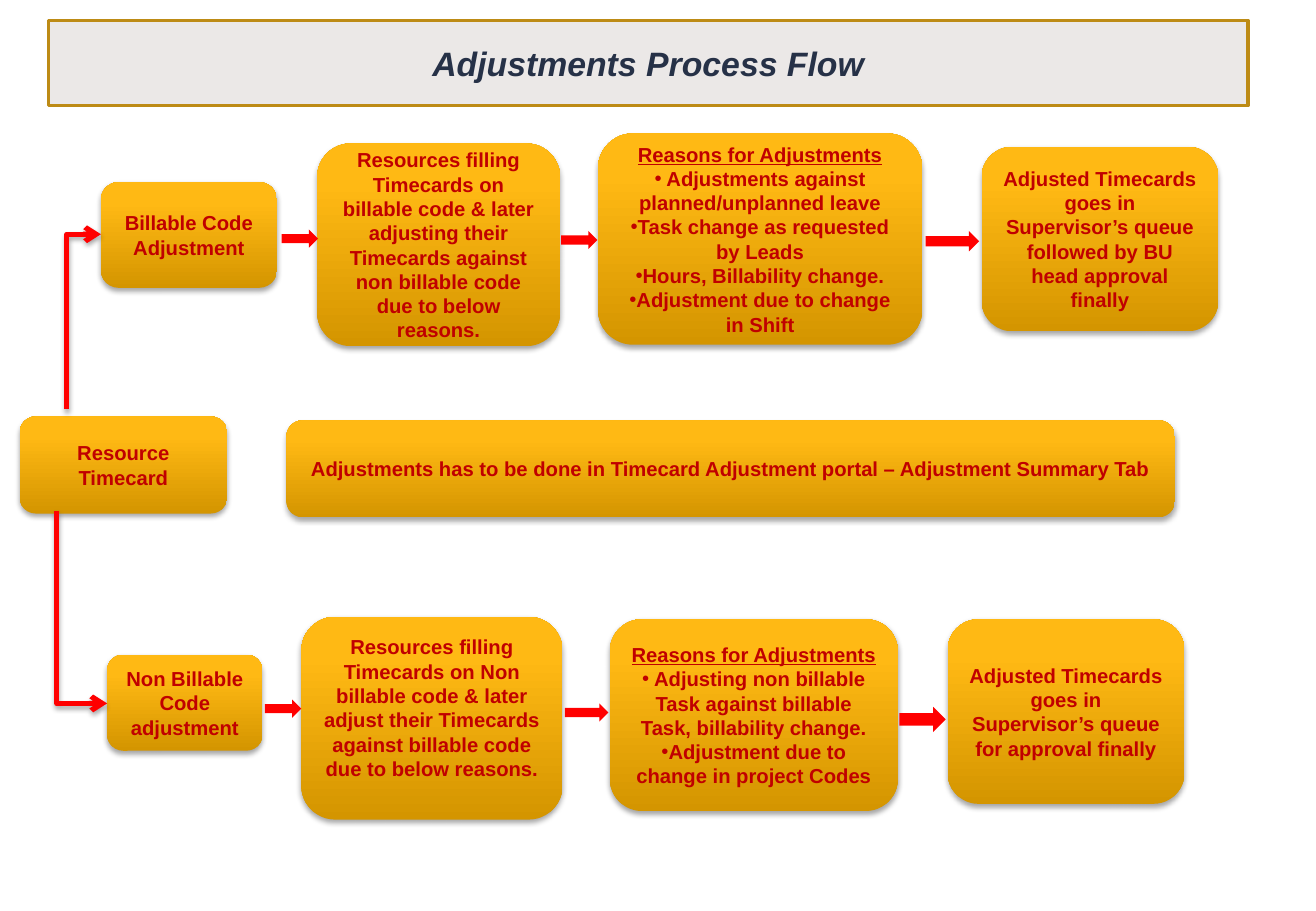
from copy import deepcopy

from lxml import etree
from pptx import Presentation
from pptx.dml.color import RGBColor
from pptx.enum import shapes, text
from pptx.oxml import ns
from pptx.util import Cm, Pt

GOLD_STOPS = (
    (0, RGBColor(0xD4, 0x95, 0x00)),
    (0.8, RGBColor(0xFF, 0xB9, 0x14)),
    (1, RGBColor(0xFF, 0xBA, 0x15)),
)
PALE_GREY = RGBColor(0xEB, 0xE8, 0xE7)
DARK_GOLD = RGBColor(0xBD, 0x8B, 0x15)
NAVY = RGBColor(0x26, 0x31, 0x47)
DARK_RED = RGBColor(0xC0, 0x00, 0x00)
RED = RGBColor(0xFF, 0x00, 0x00)
SHADOW_COLOUR = RGBColor(0x00, 0x00, 0x00)

# Left, top, width, height in centimetres, then the text
STEPS = (
    (0.41, 8.71, 4.34, 2.03, "Resource Timecard"),
    (2.11, 3.81, 3.68, 2.21, "Billable Code Adjustment"),
    (2.24, 13.69, 3.25, 2.01, "Non Billable Code adjustment"),
    (6.63, 3, 5.08, 4.24,
     "Resources filling Timecards on billable code & later adjusting their "
     "Timecards against non billable code due to below reasons."),
    (20.52, 3.07, 4.95, 3.86,
     "Adjusted Timecards goes in Supervisor’s queue followed by BU head "
     "approval finally"),
    (19.81, 12.95, 4.95, 3.86,
     "Adjusted Timecards goes in Supervisor’s queue for approval finally"),
    (5.99, 8.79, 18.57, 2.03,
     "Adjustments has to be done in Timecard Adjustment portal – "
     "Adjustment Summary Tab"),
)
NON_BILLABLE_FILLING = (
    6.3, 12.9, 5.46, 4.24,
    "Resources filling Timecards on Non billable code & later adjust their "
    "Timecards against billable code due to below reasons.")
REASONS = (
    (12.5, 2.79, 6.78, 4.42, (
        " Adjustments against planned/unplanned leave",
        "Task change as requested by Leads",
        "Hours, Billability change.",
        "Adjustment due to change in Shift")),
    (12.75, 12.95, 6.02, 4.01, (
        " Adjusting non billable Task against billable Task, "
        "billability change.",
        "Adjustment due to change in project Codes")),
)
BLOCK_ARROWS = (
    (5.89, 4.8, 0.76, 0.38),
    (11.73, 4.83, 0.76, 0.38),
    (19.35, 4.83, 1.12, 0.43),
    (5.54, 14.63, 0.76, 0.38),
    (11.81, 14.71, 0.91, 0.38),
    (18.8, 14.78, 0.97, 0.53),
)
# Start x, start y, end x, end y in centimetres
BRANCHES = (
    (1.4, 8.56, 2.11, 4.9),
    (1.19, 10.69, 2.24, 14.71),
)


def add_child(parent, tag, **attributes):
    return etree.SubElement(parent, ns.qn(tag), attributes)


def add_shadow(properties):
    """Append a soft downward shadow; the line must already be set."""
    effects = add_child(properties, "a:effectLst")
    shadow = add_child(effects, "a:outerShdw", blurRad="40000", dist="23000",
                       dir="5400000", rotWithShape="0")
    colour = add_child(shadow, "a:srgbClr", val=str(SHADOW_COLOUR))
    add_child(colour, "a:alpha", val="35000")


def style_paragraph(paragraph, size, colour):
    paragraph.alignment = text.PP_ALIGN.CENTER
    font = paragraph.font
    font.name = "Arial"
    font.size = Pt(size)
    font.bold = True
    font.color.rgb = colour
    return font


def add_title(slide):
    title = slide.shapes.add_shape(shapes.MSO_SHAPE.RECTANGLE,
                                   Cm(1.02), Cm(0.43), Cm(25.07), Cm(1.78))
    title.shadow.inherit = False
    title.fill.solid()
    title.fill.fore_color.rgb = PALE_GREY
    title.line.color.rgb = DARK_GOLD
    title.line.width = Pt(2)
    paragraph = title.text_frame.paragraphs[0]
    paragraph.text = "Adjustments Process Flow"
    style_paragraph(paragraph, 20, NAVY).italic = True


def add_box(slide, left, top, width, height, first_line):
    box = slide.shapes.add_shape(shapes.MSO_SHAPE.ROUNDED_RECTANGLE,
                                 Cm(left), Cm(top), Cm(width), Cm(height))
    box.line.fill.background()
    box.fill.gradient()
    box.fill.gradient_angle = 90
    stop_list = box._element.spPr.find(".//" + ns.qn("a:gsLst"))
    stop_list.append(deepcopy(stop_list[-1]))
    for stop, (position, colour) in zip(box.fill.gradient_stops, GOLD_STOPS):
        stop.position = position
        stop.color.rgb = colour
    add_shadow(box._element.spPr)
    paragraph = box.text_frame.paragraphs[0]
    paragraph.text = first_line
    style_paragraph(paragraph, 12, DARK_RED)
    return box


def add_reasons_box(slide, left, top, width, height, reasons):
    box = add_box(slide, left, top, width, height, "Reasons for Adjustments")
    box.text_frame.paragraphs[0].font.underline = True
    for reason in reasons:
        paragraph = box.text_frame.add_paragraph()
        paragraph.text = reason
        properties = paragraph._p.get_or_add_pPr()
        properties.set("marL", "0")
        properties.set("indent", "0")
        add_child(properties, "a:buFont", typeface="Arial")
        add_child(properties, "a:buChar", char="•")
        style_paragraph(paragraph, 12, DARK_RED)


def add_block_arrow(slide, left, top, width, height):
    arrow = slide.shapes.add_shape(shapes.MSO_SHAPE.RIGHT_ARROW,
                                   Cm(left), Cm(top), Cm(width), Cm(height))
    arrow.shadow.inherit = False
    arrow.fill.solid()
    arrow.fill.fore_color.rgb = RED
    arrow.line.fill.background()


def add_branch(slide, start_x, start_y, end_x, end_y):
    """Draw a one-bend arrow that runs vertically, then to the right."""
    length, depth = abs(end_y - start_y), end_x - start_x
    left = (start_x + end_x - length) / 2
    top = (start_y + end_y - depth) / 2
    branch = slide.shapes.add_connector(
        shapes.MSO_CONNECTOR.ELBOW,
        Cm(left), Cm(top), Cm(left + length), Cm(top + depth))
    properties = branch._element.spPr
    properties.find(ns.qn("a:prstGeom")).set("prst", "bentConnector2")
    frame = properties.find(ns.qn("a:xfrm"))
    upward = end_y < start_y
    frame.set("rot", "5400000" if upward else "16200000")
    frame.set("flipH", "1")
    frame.set("flipV", "1" if upward else "0")
    branch.line.color.rgb = RED
    branch.line.width = Pt(3)
    add_child(properties.find(ns.qn("a:ln")), "a:tailEnd", type="arrow")
    add_shadow(properties)


def main():
    presentation = Presentation()
    presentation.slide_width = Cm(27.51)
    presentation.slide_height = Cm(19.05)
    slide = presentation.slides.add_slide(presentation.slide_layouts[6])

    add_title(slide)
    for step in STEPS:
        add_box(slide, *step)
    filling_box = add_box(slide, *NON_BILLABLE_FILLING)
    filling_box.text_frame.margin_bottom = Cm(0.57)
    for reasons in REASONS:
        add_reasons_box(slide, *reasons)
    for branch in BRANCHES:
        add_branch(slide, *branch)
    for arrow in BLOCK_ARROWS:
        add_block_arrow(slide, *arrow)

    presentation.save("out.pptx")


if __name__ == "__main__":
    main()
